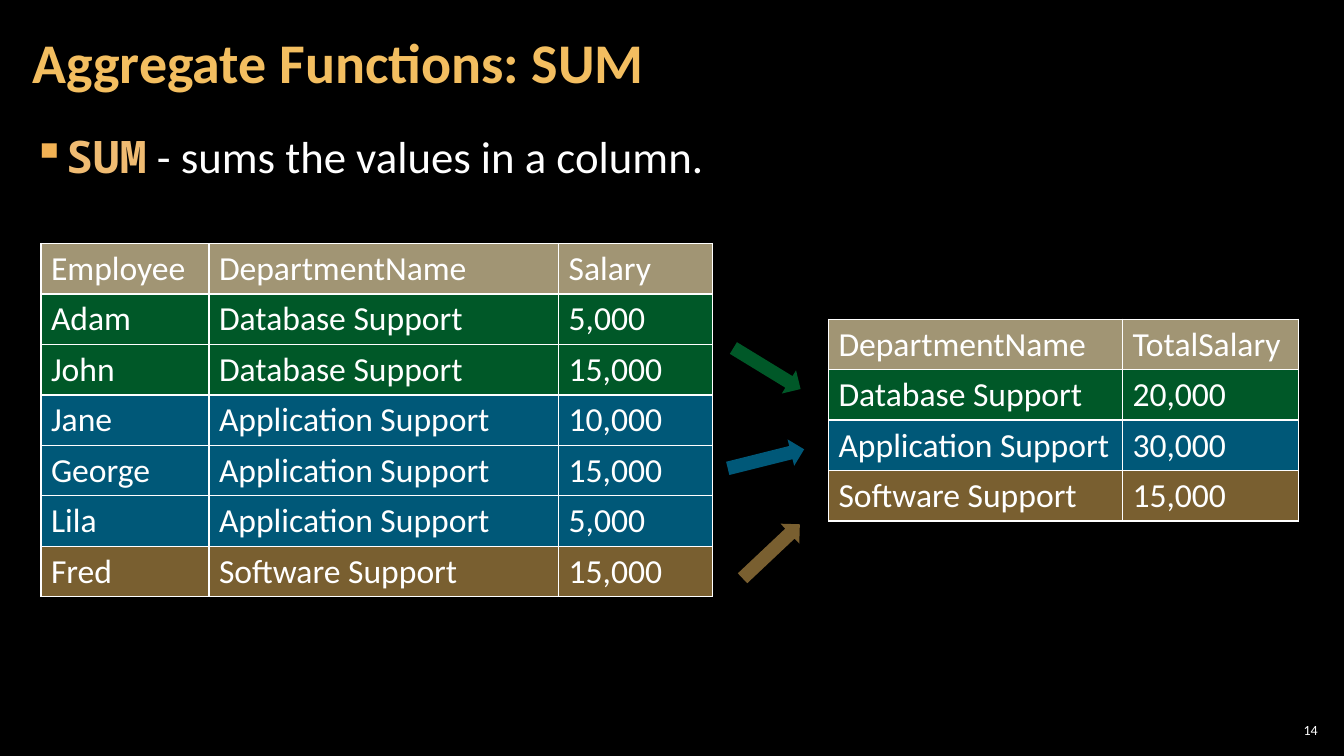
import lxml.etree
import pptx
import pptx.dml.color
import pptx.enum.shapes
import pptx.enum.text
import pptx.oxml
import pptx.oxml.ns
import pptx.util

RGB = pptx.dml.color.RGBColor
BLACK = RGB(0x00, 0x00, 0x00)
WHITE = RGB(0xFF, 0xFF, 0xFF)
GOLD = RGB(0xF3, 0xBE, 0x60)
KEYWORD = RGB(0xEF, 0xBB, 0x72)
BULLET = RGB(0xF2, 0xB2, 0x54)
HEADER = RGB(0xA1, 0x95, 0x74)
GREEN = RGB(0x00, 0xB0, 0x50)
BLUE = RGB(0x00, 0xB0, 0xF0)

DEPARTMENT_COLORS = {
    "Database Support": GREEN,
    "Application Support": BLUE,
    "Software Support": GOLD,
}
EMPLOYEES = [
    ("Employee", "DepartmentName", "Salary"),
    ("Adam", "Database Support", "5,000"),
    ("John", "Database Support", "15,000"),
    ("Jane", "Application Support", "10,000"),
    ("George", "Application Support", "15,000"),
    ("Lila", "Application Support", "5,000"),
    ("Fred", "Software Support", "15,000"),
]
TOTALS = [
    ("DepartmentName", "TotalSalary"),
    ("Database Support", "20,000"),
    ("Application Support", "30,000"),
    ("Software Support", "15,000"),
]
ARROWS = [
    (693, 338, 31.4, GREEN),
    (692, 424, 346, BLUE),
    (697, 512, 316.7, GOLD),
]


def px(n):
    return pptx.util.Emu(n * 9525)


class Deck:
    font = "Calibri"
    code_font = "Noto Sans Mono"
    row_height = 48

    def __init__(self):
        self.prs = pptx.Presentation()
        self.prs.slide_width, self.prs.slide_height = px(1280), px(720)
        self.s = self.prs.slides.add_slide(self.prs.slide_layouts[6])
        self.s.background.fill.solid()
        self.s.background.fill.fore_color.rgb = BLACK

    def run(self, p, text, size, color=WHITE, bold=False, font=None):
        r = p.add_run()
        r.text = text
        r.font.name = font or self.font
        r.font.size = pptx.util.Pt(size)
        r.font.color.rgb = color
        r.font.bold = bold

    def text(self, x, y, w, h, inset, middle=False):
        tf = self.s.shapes.add_textbox(px(x), px(y), px(w), px(h)).text_frame
        tf.word_wrap = True
        tf.margin_left = tf.margin_right = px(inset)
        tf.margin_top = tf.margin_bottom = px(4)
        anchor = pptx.enum.text.MSO_ANCHOR
        tf.vertical_anchor = anchor.MIDDLE if middle else anchor.TOP
        return tf.paragraphs[0]

    def bullet(self, p, char, color, indent):
        pPr = p._p.get_or_add_pPr()
        pPr.set("marL", str(px(indent)))
        pPr.set("indent", str(px(-indent)))
        clr = lxml.etree.SubElement(pPr, pptx.oxml.ns.qn("a:buClr"))
        lxml.etree.SubElement(clr, pptx.oxml.ns.qn("a:srgbClr"), val=str(color))
        lxml.etree.SubElement(pPr, pptx.oxml.ns.qn("a:buChar"), char=char)

    def fill(self, obj, color, opacity=100):
        obj.fill.solid()
        obj.fill.fore_color.rgb = color
        if opacity < 100:
            props = obj._tc.tcPr if hasattr(obj, "_tc") else obj._element.spPr
            clr = props.find(pptx.oxml.ns.qn("a:solidFill"))[0]
            lxml.etree.SubElement(clr, pptx.oxml.ns.qn("a:alpha"), val=str(opacity * 1000))

    def borders(self, cell, color=WHITE, points=1):
        for i, side in enumerate("LRTB"):
            line = pptx.oxml.parse_xml(
                f'<a:ln{side} {pptx.oxml.ns.nsdecls("a")} w="{pptx.util.Pt(points)}">'
                f'<a:solidFill><a:srgbClr val="{color}"/></a:solidFill></a:ln{side}>'
            )
            cell._tc.tcPr.insert(i, line)

    def table(self, x, y, widths, rows):
        frame = self.s.shapes.add_table(
            len(rows), len(widths), px(x), px(y),
            px(sum(widths)), px(self.row_height * len(rows)),
        )
        table = frame.table
        table.first_row = table.horz_banding = False
        for column, width in zip(table.columns, widths):
            column.width = px(width)
        for i, values in enumerate(rows):
            table.rows[i].height = px(self.row_height)
            department = next((v for v in values if v in DEPARTMENT_COLORS), None)
            for j, value in enumerate(values):
                cell = table.cell(i, j)
                self.run(cell.text_frame.paragraphs[0], value, 24)
                if department:
                    self.fill(cell, DEPARTMENT_COLORS[department], 50)
                else:
                    self.fill(cell, HEADER)
                self.borders(cell)

    def arrow(self, x, y, rotation, color):
        sp = self.s.shapes.add_shape(
            pptx.enum.shapes.MSO_SHAPE.RIGHT_ARROW, px(x), px(y), px(75), px(26)
        )
        sp.rotation = rotation
        sp.shadow.inherit = False
        sp.line.fill.background()
        self.fill(sp, color, 50)


def main():
    deck = Deck()

    p = deck.text(1214, 685, 45, 20, 4, middle=True)
    p.alignment = pptx.enum.text.PP_ALIGN.RIGHT
    deck.run(p, "14", 10)

    p = deck.text(20, 4, 1005, 116, 11, middle=True)
    p.line_spacing = 0.9
    deck.run(p, "Aggregate Functions: SUM", 40, GOLD, bold=True)

    deck.table(39, 232, (160, 333, 147), EMPLOYEES)
    deck.table(789, 304, (280, 168), TOTALS)
    for arrow in ARROWS:
        deck.arrow(*arrow)

    p = deck.text(20, 119, 1239, 585, 11)
    deck.bullet(p, "▪", BULLET, 32)
    deck.run(p, "SUM", 32, KEYWORD, bold=True, font=deck.code_font)
    deck.run(p, " - sums the values in a column.", 32)

    deck.prs.save("out.pptx")


if __name__ == "__main__":
    main()
